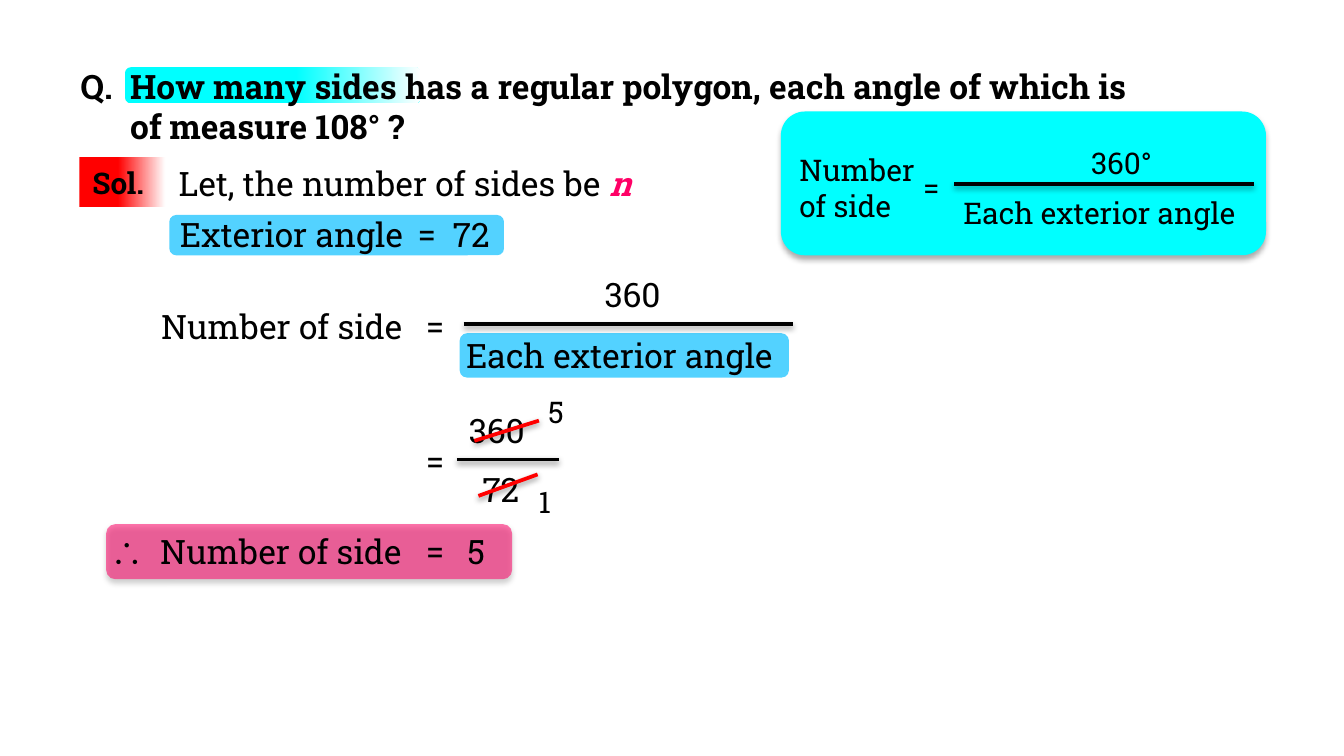
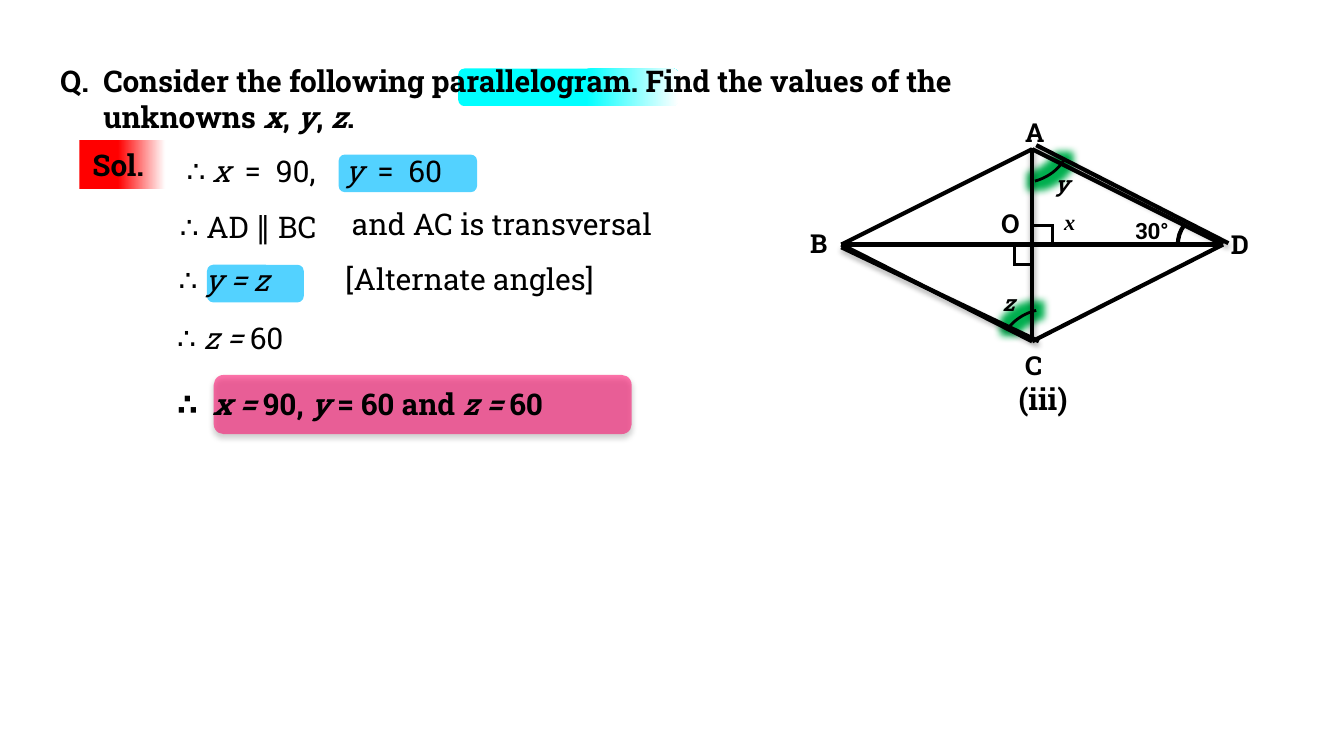
"""Build two worked geometry solutions: sides of a polygon and angles of a parallelogram."""
from dataclasses import dataclass

from pptx import Presentation
from pptx.dml.color import RGBColor
from pptx.enum.shapes import MSO_CONNECTOR as Link, MSO_SHAPE as Form
from pptx.enum.text import MSO_ANCHOR as Anchor, MSO_AUTO_SIZE as Fit, PP_ALIGN as Align
from pptx.oxml import parse_xml
from pptx.oxml.ns import nsdecls, qn
from pptx.util import Inches, Pt


@dataclass(frozen=True)
class Theme:
    ink: str = "000000"
    paper: str = "FFFFFF"
    cyan: str = "00FFFF"
    sky: str = "53D2FF"
    red: str = "FF0000"
    pink: str = "FF0066"
    green: str = "00B050"
    face: str = "Roboto Slab"
    large: int = 18
    medium: int = 16
    vertex: int = 14
    small: int = 12


theme = Theme()
deck = Presentation()
deck.slide_width = Inches(10)
deck.slide_height = deck.slide_width * 9 // 16
column = deck.slide_width // 100

styles = {
    "plain": {},
    "italic": {"italic": True},
    "unknown": {"italic": True, "bold": True},
    "sign": {"name": "Arial"},
    "light sign": {"name": "Calibri"},
    "times": {"name": "Times New Roman", "italic": True},
}
fills = {
    "formula": [(0, theme.cyan)],
    "fact": [(0, theme.sky)],
    "answer": [(0, theme.pink)],
    "keyword": [(0.58, theme.cyan), (1, theme.paper)],
    "solution": [(0.45, theme.red), (1, theme.paper)],
}
shadow = ('<a:outerShdw blurRad="39400" dist="{}" dir="5400000" rotWithShape="0">'
          '<a:srgbClr val="' + theme.ink + '"><a:alpha val="{}"/></a:srgbClr></a:outerShdw>')
effects = {
    "none": "",
    "bar": shadow.format(20300, 38000),
    "soft": shadow.format(22900, 35000),
    "deep": shadow.format(27900, 32000),
    "glow": f'<a:glow rad="101600"><a:srgbClr val="{theme.green}"/></a:glow>',
}


def add_effect(part, effect):
    part._element.spPr.append(
        parse_xml(f'<a:effectLst {nsdecls("a")}>{effects[effect]}</a:effectLst>'))


def write(frame, content, size, bold, wrap):
    frame.word_wrap, frame.auto_size = wrap, Fit.SHAPE_TO_FIT_TEXT
    paragraphs = [[(content, "plain")]] if isinstance(content, str) else content
    for number, pieces in enumerate(paragraphs):
        paragraph = frame.add_paragraph() if number else frame.paragraphs[0]
        paragraph.alignment = Align.LEFT
        for words, style in pieces:
            run = paragraph.add_run()
            run.text = words
            values = {"name": theme.face, "size": Pt(size), "bold": bold, **styles[style]}
            for attribute, value in values.items():
                setattr(run.font, attribute, value)
            run.font.color.rgb = RGBColor.from_string(
                theme.pink if style == "unknown" else theme.ink)


polygon = {
    "plates": [
        ("answer", "soft", 7.9, 39, 30.2, 4.1),
        ("fact", "none", 12.6, 16, 24.9, 3),
        ("fact", "none", 34.2, 24.8, 24.5, 3.3),
        ("keyword", "none", 9.3, 5, 22, 2.7),
        ("solution", "none", 5.9, 11.7, 6.4, 3.7),
        ("formula", "deep", 58.1, 8.3, 36.1, 10.7),
    ],
    "lines": [
        (theme.ink, 2, "bar", [
            (34.5, 24.1, 59, 24.1), (34, 34.2, 41.6, 34.2), (71, 13.7, 93.3, 13.7)]),
    ],
    "arcs": [],
    "texts": [
        (theme.large, True, False, [(5, 4.4, 4.9, "Q.")]),
        (theme.large, True, True, [
            (8.7, 4.4, 88.5, [
                [("How many sides has a regular polygon, each angle of which is", "plain")],
                [("of measure 108° ?", "plain")]]),
        ]),
        (theme.large, False, True, [
            (12.3, 11.6, 38.5, [[("Let, the number of sides be ", "plain"), ("n", "unknown")]]),
            (12.4, 15.4, 24, "Exterior angle"),
            (30.1, 15.4, 4.4, "="),
            (32.7, 15.4, 5.8, "72"),
            (33.7, 24.4, 26.7, "Each exterior angle"),
            (11, 22.3, 21.3, "Number of side"),
            (34.9, 34.4, 5.6, "72"),
            (7.2, 39, 24.9, [[("∴", "sign"), ("  Number of side", "plain")]]),
        ]),
        (theme.large, False, False, [
            (44, 19.9, 6.7, "360"),
            (33.9, 30, 6.7, "360"),
            (33.8, 39, 3.6, "5"),
            *[(30.7, top, 3.5, "=") for top in (22.3, 32.3, 39)],
        ]),
        (theme.medium, False, True, [
            (39.8, 28.8, 5.1, "5"),
            (58.5, 10.8, 13.5, [[("Number", "plain")], [("of side", "plain")]]),
            (70.7, 14, 26.5, "Each exterior angle"),
        ]),
        (theme.medium, False, False, [
            (39.1, 35.5, 3.4, "1"),
            (80.2, 10.3, 7.1, "360°"),
            (67.7, 12.1, 3.4, "="),
        ]),
    ],
    "strikes": [
        (theme.red, 2, "bar", [(40, 35.3, 35.6, 36.9), (40.1, 31.3, 35.3, 32.8)]),
    ],
}

A, B, C, D = (76.8, 11.1), (62.6, 18.2), (76.8, 25.4), (91, 18.2)
parallelogram = {
    "plates": [
        ("keyword", "none", 34.1, 5.1, 16.4, 2.8),
        ("solution", "none", 5.9, 10.4, 6.4, 3.7),
        ("answer", "soft", 15.9, 27.9, 31.1, 4.4),
        ("fact", "none", 25.2, 11.5, 10.3, 2.8),
        ("fact", "none", 15.4, 19.7, 7.2, 2.8),
    ],
    "lines": [
        (theme.ink, 2.25, "none", [
            start + end for start, end in ((A, B), (C, B), (D, A), (D, C), (D, B), (C, A))]),
        (theme.ink, 1.5, "none", [
            (75.5, 18.2, 75.5, 19.7), (76.9, 19.7, 75.4, 19.7),
            (76.8, 16.8, 78.3, 16.8), (78.3, 16.7, 78.3, 18.2)]),
        (theme.ink, 2.25, "soft", [
            (76.8, 11, 76.8, 25.2), (62.6, 18.4, 77.3, 25.4), (77.1, 10.8, 91.4, 18.1)]),
    ],
    "arcs": [
        (75.4, 9.9, 3.5, 3.5, 317.9, True, 132.14, 180.71, 2.25, "none"),
        (87.3, 16.5, 4.3, 3.6, 82.2, True, 127.8, 156.65, 2.25, "none"),
        (74.5, 23.4, 3.9, 3.3, 135, True, 128.14, 174.54, 2.25, "none"),
        (72.3, 6.1, 7.5, 7.5, 98.3, False, 176.64, 202.22, 1.5, "glow"),
        (74.2, 23, 7.5, 7.5, 284.8, False, 176.62, 199.32, 1.5, "glow"),
    ],
    "texts": [
        (theme.medium, True, True, [
            (6.7, 4.2, 88.5, [
                [("Consider the following parallelogram. Find the values of the", "plain")],
                [("unknowns ", "plain"), ("x", "italic"), (", ", "plain"), ("y", "italic"),
                 (", ", "plain"), ("z", "italic"), (".", "plain")]]),
            (74.8, 27.8, 5.8, "(iii)"),
        ]),
        (theme.medium, True, False, [
            (3.5, 4.2, 4.6, "Q."),
            (12.2, 28.2, 34.5, [[
                ("∴  ", "plain"), ("x = ", "italic"), ("90, ", "plain"), ("y", "italic"),
                (" = 60 and ", "plain"), ("z = ", "italic"), ("60", "plain")]]),
        ]),
        (theme.medium, False, True, [
            (12.9, 10.9, 18.8, [[
                ("∴ ", "light sign"), ("x  ", "italic"), ("=  90,", "plain")]]),
        ]),
        (theme.medium, False, False, [
            (24.7, 10.9, 10.3, [[("y  ", "italic"), ("=  60", "plain")]]),
            (12.4, 15, 13.8, "∴ AD ∥ BC"),
            (25.2, 14.8, 25.7, "and AC is transversal"),
            (12.3, 19, 9.9, [[("∴ ", "plain"), ("y = z", "italic")]]),
            (24.7, 18.9, 21.1, "[Alternate angles]"),
            (12.2, 23.3, 11.3, [[("∴ ", "plain"), ("z = ", "italic"), ("60", "plain")]]),
        ]),
        (theme.vertex, True, False, [
            (75.3, 8.2, 3.4, "A"), (59.3, 16.4, 3.4, "B"), (75.3, 25.5, 3.5, "C"),
            (90.6, 16.5, 3.5, "D"), (73.5, 14.9, 3.6, "O"),
        ]),
        (theme.small, True, False, [(83.5, 15.7, 4.9, "30°")]),
        (theme.small, True, True, [
            (78.2, 15, 2.1, [[("x", "times")]]),
            (77.5, 12.2, 2.4, [[("y", "italic")]]),
            (73.6, 21, 2.7, [[("z", "italic")]]),
        ]),
    ],
    "strikes": [],
}

for problem in (polygon, parallelogram):
    slide = deck.slides.add_slide(deck.slide_layouts[6])

    for role, effect, *box in problem["plates"]:
        form = Form.RECTANGLE if role == "solution" else Form.ROUNDED_RECTANGLE
        plate = slide.shapes.add_shape(form, *[round(length * column) for length in box])
        stops = fills[role]
        if len(stops) == 1:
            plate.fill.solid()
            plate.fill.fore_color.rgb = RGBColor.from_string(stops[0][1])
        else:
            plate.fill.gradient()
            plate.fill.gradient_angle = 0
            for stop, (position, colour) in zip(plate.fill.gradient_stops, stops):
                stop.position, stop.color.rgb = position, RGBColor.from_string(colour)
        if role == "answer":
            tint = plate._element.spPr.find(".//" + qn("a:srgbClr"))
            tint.append(parse_xml(f'<a:alpha {nsdecls("a")} val="54000"/>'))
        plate.line.fill.background()
        add_effect(plate, effect)
        if role == "solution":
            plate.text_frame.vertical_anchor = Anchor.MIDDLE
            write(plate.text_frame, "Sol.", theme.medium, True, False)

    for left, top, width, height, turn, flipped, start, end, weight, effect in problem["arcs"]:
        box = [round(length * column) for length in (left, top, width, height)]
        angle = slide.shapes.add_shape(Form.ARC, *box)
        angle.adjustments[0], angle.adjustments[1] = start, end
        angle.rotation = turn
        if flipped:
            angle._element.spPr.xfrm.set("flipV", "1")
        angle.fill.background()
        angle.line.color.rgb, angle.line.width = RGBColor.from_string(theme.ink), Pt(weight)
        add_effect(angle, effect)

    for layer in ("lines", "texts", "strikes"):
        if layer == "texts":
            for size, bold, wrap, entries in problem[layer]:
                for left, top, width, content in entries:
                    rows = 1 if isinstance(content, str) else len(content)
                    height = 1 + rows * size * 0.17
                    box = [round(length * column) for length in (left, top, width, height)]
                    write(slide.shapes.add_textbox(*box).text_frame, content, size, bold, wrap)
            continue
        for colour, weight, effect, segments in problem[layer]:
            for segment in segments:
                ends = [round(length * column) for length in segment]
                stroke = slide.shapes.add_connector(Link.STRAIGHT, *ends)
                stroke.line.color.rgb = RGBColor.from_string(colour)
                stroke.line.width = Pt(weight)
                add_effect(stroke, effect)

deck.save("out.pptx")
